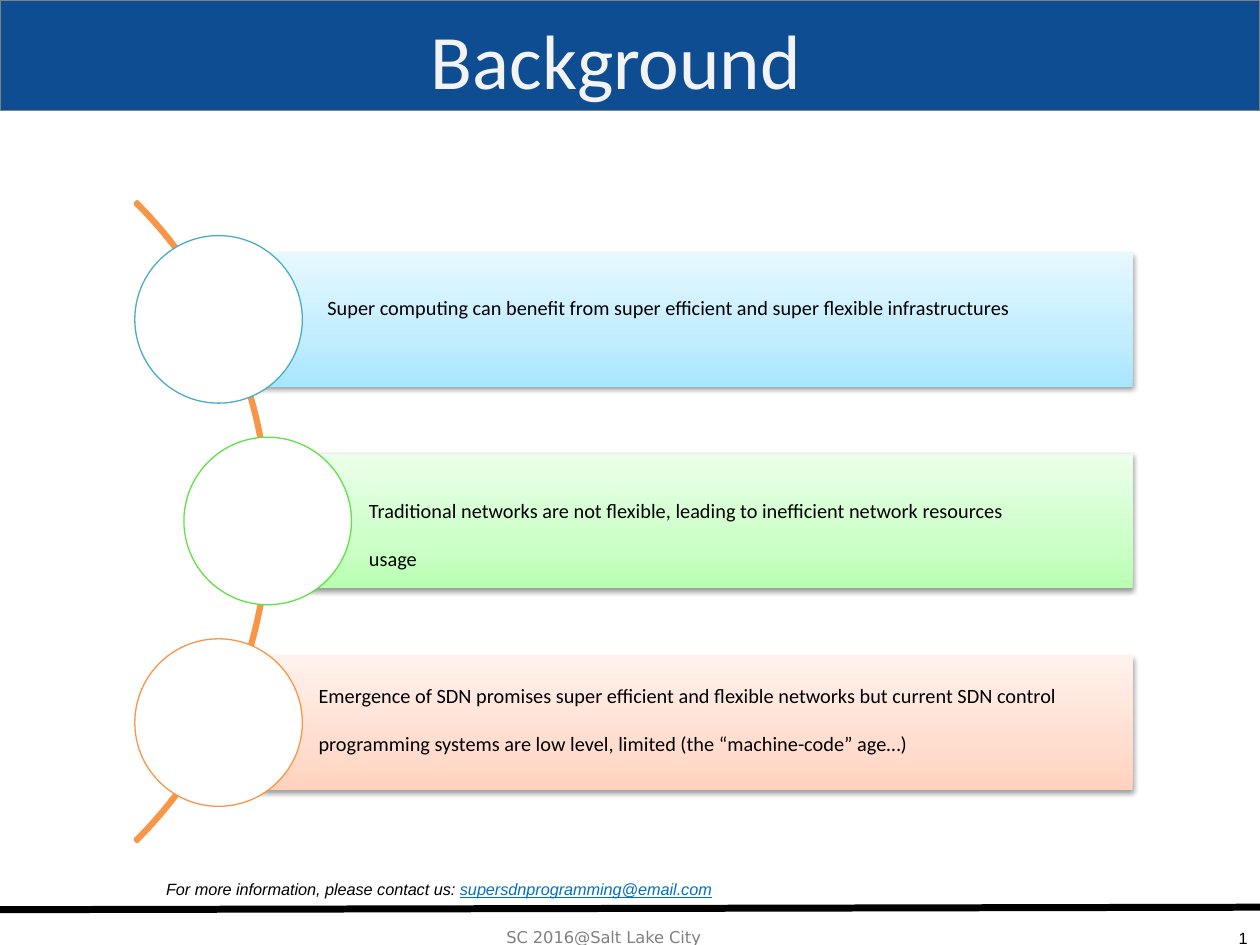
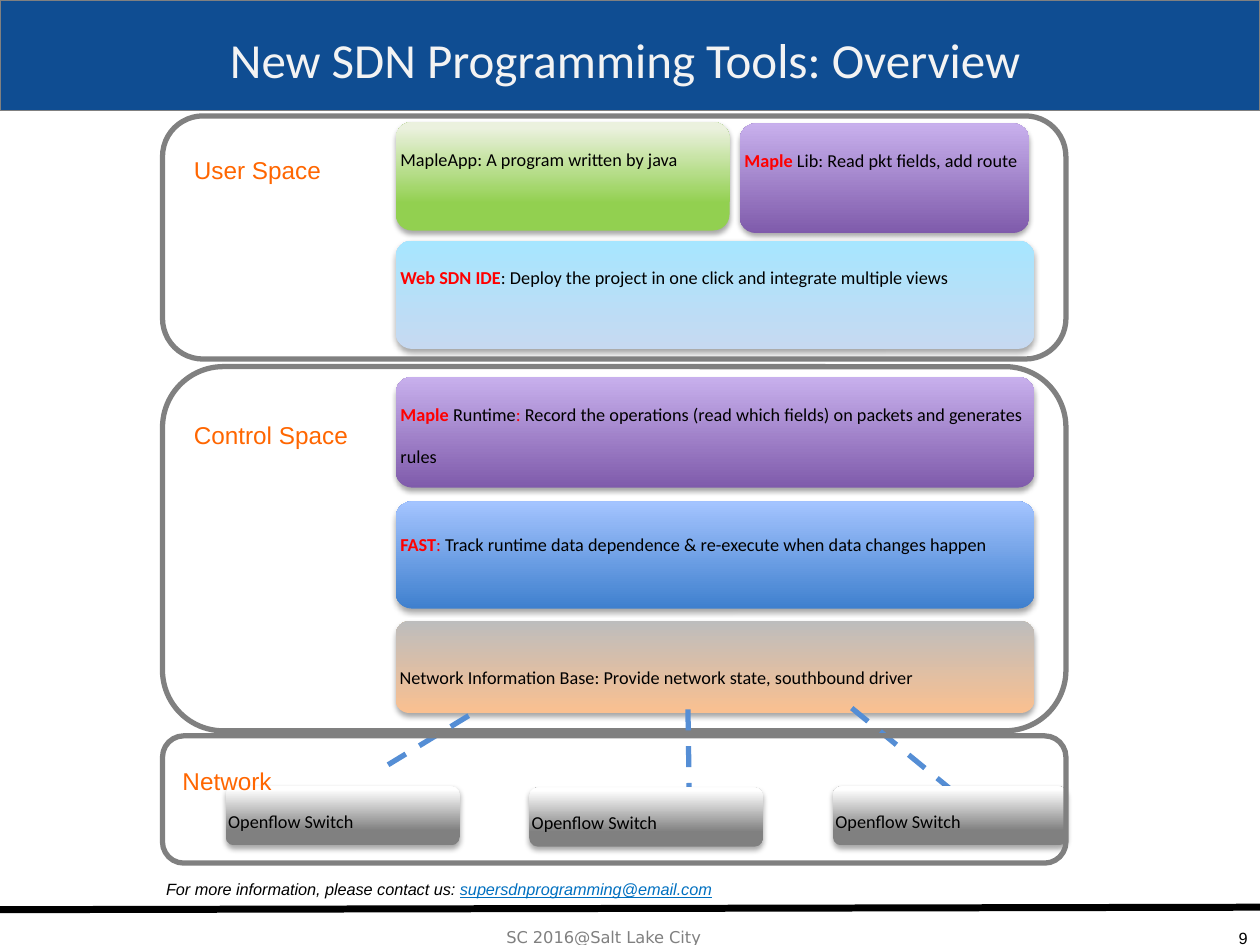
from dataclasses import dataclass
from typing import NamedTuple

from lxml.etree import SubElement
from pptx import Presentation
from pptx.dml.color import RGBColor
from pptx.enum.dml import MSO_LINE
from pptx.enum.shapes import MSO_CONNECTOR, MSO_SHAPE as Preset
from pptx.enum.text import MSO_ANCHOR as Anchor, MSO_AUTO_SIZE, PP_ALIGN as Align
from pptx.oxml.ns import qn
from pptx.util import Inches, Pt

# Slide grid: 100 columns by 75 rows
WIDTH, HEIGHT = Inches(10), Inches(7.5)
COLUMN, ROW = WIDTH / 100, HEIGHT / 75

COLORS = {
    "band": "0F4D92", "title": "F3F3F3", "gray": "808080", "black": "000000",
    "white": "FFFFFF", "link": "0070C0", "red": "FF0000", "label": "FF6600",
    "orange": "F79646", "teal": "4BACC6", "green": "60E146", "dash": "558ED5",
}
GRADIENTS = {  # stops run from the bottom edge to the top edge
    "sky": [(0, "A7E6FF"), (35, "C1EDFF"), (100, "E7F8FF")],
    "mint": [(0, "B9FFB2"), (35, "CDFFC9"), (100, "ECFFEA")],
    "peach": [(0, "FFD2BD"), (35, "FFDED0"), (100, "FFF2ED")],
    "ice": [(0, "C6D9F1"), (100, "A7E6FF")],
    "purple": [(0, "7F5BAB"), (100, "C8B0ED")],
    "blue": [(0, "3F80CE"), (100, "A4C4FF")],
    "sand": [(0, "FAC090"), (100, "BDBDBD")],
    "leaf": [(25, "92D050"), (95, "EBF1DE")],
    "steel": [(25, "808080"), (95, "FFFFFF")],
}


class Box(NamedTuple):
    column: float
    row: float
    columns: float
    rows: float

    def lengths(self) -> list[int]:
        scales = (COLUMN, ROW, COLUMN, ROW)
        return [round(value * scale) for value, scale in zip(self, scales)]


class Words(NamedTuple):
    text: str
    color: str = "black"
    bold: bool = False
    underline: bool = False


@dataclass
class TextStyle:
    size: float
    font: str = "Calibri"
    italic: bool = False
    lowered: bool = True


@dataclass
class Point:
    circle_column: float
    gradient: str
    outline: str
    text_box: Box
    text: str


@dataclass
class Tile:
    box: Box
    gradient: str
    words: list[Words]
    anchor: Anchor = Anchor.TOP
    top_inset: float = 0


@dataclass
class Space:
    frame: Box
    label_box: Box
    label: str


BODY = TextStyle(20)
TILE = TextStyle(18)
LABEL = TextStyle(24, "Arial")
CONTACT = TextStyle(16, "Arial", italic=True)
NUMBER = TextStyle(16, "Arial")
FOOTER = TextStyle(16, "DejaVu Sans")


def color(name: str) -> RGBColor:
    return RGBColor.from_string(COLORS[name])


def write(paragraph, words: list[Words], style: TextStyle) -> None:
    for part in words:
        run = paragraph.add_run()
        run.text = part.text
        font = run.font
        font.size, font.name = Pt(style.size), style.font
        font.bold, font.italic, font.underline = part.bold, style.italic, part.underline
        font.color.rgb = color(part.color)
        if style.lowered:
            run._r.get_or_add_rPr().set("baseline", "-25000")


def add_shadow(effects, alpha: int, distance: int) -> None:
    shadow = SubElement(effects, qn("a:outerShdw"), blurRad="40000",
                        dist=str(distance), dir="5400000", rotWithShape="0")
    black = SubElement(shadow, qn("a:srgbClr"), val=COLORS["black"])
    SubElement(black, qn("a:alpha"), val=str(alpha * 1000))


def add_text(slide, box: Box, words: list[Words], style: TextStyle,
             align: Align = Align.LEFT, wrap: bool = True):
    shape = slide.shapes.add_textbox(*box.lengths())
    shape.text_frame.word_wrap = wrap
    paragraph = shape.text_frame.paragraphs[0]
    paragraph.alignment = align
    write(paragraph, words, style)
    return shape


def add_outlined(slide, preset: Preset, box: Box, line: str, width: float,
                 fill: str | None = None):
    shape = slide.shapes.add_shape(preset, *box.lengths())
    shape.shadow.inherit = False
    if fill:
        shape.fill.solid()
        shape.fill.fore_color.rgb = color(fill)
    else:
        shape.fill.background()
    shape.line.color.rgb = color(line)
    shape.line.width = Pt(width)
    return shape


def add_gradient(slide, preset: Preset, box: Box, gradient: str,
                 alpha: int, distance: int):
    shape = slide.shapes.add_shape(preset, *box.lengths())
    shape.line.fill.background()
    shape.fill.gradient()
    shape.fill.gradient_angle = 90
    properties = shape.element.spPr
    stops = properties.find(".//" + qn("a:gsLst"))
    for stop in list(stops):
        stops.remove(stop)
    for position, value in GRADIENTS[gradient]:
        stop = SubElement(stops, qn("a:gs"), pos=str(position * 1000))
        SubElement(stop, qn("a:srgbClr"), val=value)
    shape.shadow.inherit = False
    add_shadow(properties.find(qn("a:effectLst")), alpha, distance)
    return shape


def add_line(slide, start: tuple[float, float], end: tuple[float, float],
             line: str, width: float, dashed: bool = False):
    ends = [round(value * scale) for value, scale in
            zip(start + end, (COLUMN, ROW, COLUMN, ROW))]
    connector = slide.shapes.add_connector(MSO_CONNECTOR.STRAIGHT, *ends)
    connector.line.color.rgb = color(line)
    connector.line.width = Pt(width)
    if dashed:
        connector.line.dash_style = MSO_LINE.DASH
    SubElement(connector.element.spPr, qn("a:effectLst"))
    return connector


def add_tile(slide, tile: Tile) -> None:
    shape = add_gradient(slide, Preset.ROUNDED_RECTANGLE, tile.box, tile.gradient, 35, 23000)
    shape.adjustments[0] = 0.15
    frame = shape.text_frame
    frame.word_wrap = True
    frame.vertical_anchor = tile.anchor
    frame.margin_left = frame.margin_right = frame.margin_bottom = 0
    frame.margin_top = Inches(tile.top_inset)
    frame.paragraphs[0].alignment = Align.LEFT
    write(frame.paragraphs[0], tile.words, TILE)


def add_space(slide, space: Space) -> None:
    add_outlined(slide, Preset.ROUNDED_RECTANGLE, space.frame, "gray", 3)
    add_text(slide, space.label_box, [Words(space.label, "label")], LABEL)


def decorate_layout(layout, slide) -> None:
    """Draw the band, rule and footer, then hand them to the shared layout."""
    shared = [
        add_outlined(slide, Preset.RECTANGLE, Box(0, 0, 100, 8.8), "gray", 0.75, "band"),
        add_line(slide, (0, 72.2), (100, 72), "black", 4),
        add_text(slide, Box(39.2, 71.6, 29.4, 3.7),
                 [Words("SC 2016@Salt Lake City", "gray")], FOOTER, wrap=False),
    ]
    for shape in shared:
        layout.shapes.element.append(shape.element)


def set_title(slide, text: str, size: float) -> None:
    title = slide.shapes.title
    title.left, title.top, title.width, title.height = Box(2.8, 0.9, 93.6, 7.5).lengths()
    frame = title.text_frame
    frame.auto_size = MSO_AUTO_SIZE.NONE
    frame.vertical_anchor = Anchor.MIDDLE
    paragraph = frame.paragraphs[0]
    paragraph.alignment = Align.CENTER
    write(paragraph, [Words(text, "title")], TextStyle(size, lowered=False))
    properties = paragraph.runs[0]._r.get_or_add_rPr()
    effects = SubElement(properties, qn("a:effectLst"))
    add_shadow(effects, 43, 38000)
    properties.find(qn("a:solidFill")).addnext(effects)


def add_closing(slide, number: str) -> None:
    add_text(slide, Box(12.2, 67.8, 78.4, 3.7),
             [Words("For more information, please contact us: "),
              Words("supersdnprogramming@email.com", "link", underline=True)], CONTACT)
    add_text(slide, Box(79.2, 71.7, 20.8, 3.3), [Words(number)], NUMBER, Align.RIGHT)


def build_background(slide) -> None:
    set_title(slide, "Background ", 44)
    arc = add_outlined(slide, Preset.BLOCK_ARC, Box(-50.4, 5.5, 71.8, 71.8), "orange", 2)
    for index, value in enumerate((189, 27, 0.003)):
        arc.adjustments[index] = value

    points = [
        Point(10.7, "sky", "teal", Box(25, 21.1, 62.4, 7.7),
              "Super computing can benefit from super efficient and super flexible "
              "infrastructures"),
        Point(14.6, "mint", "green", Box(28.3, 37.2, 52.8, 7.7),
              "Traditional networks are not flexible, leading to inefficient network "
              "resources usage"),
        Point(10.7, "peach", "orange", Box(24.3, 51.9, 66.7, 11.1),
              "Emergence of SDN promises super efficient and flexible networks but "
              "current SDN control programming systems are low level, limited "
              "(the “machine-code” age…)"),
    ]
    diameter, bar_right = 13.3, 89.9
    for index, point in enumerate(points):
        row = 18.7 + 16 * index
        center = point.circle_column + diameter / 2
        bar = Box(center, row + 1.3, bar_right - center, 10.7)
        add_gradient(slide, Preset.RECTANGLE, bar, point.gradient, 38, 20000)
        circle = Box(point.circle_column, row, diameter, diameter)
        add_outlined(slide, Preset.OVAL, circle, point.outline, 0.75, "white")
    for point in points:
        add_text(slide, point.text_box, [Words(point.text)], BODY)
    add_closing(slide, "1")


def build_overview(slide) -> None:
    set_title(slide, "New SDN Programming Tools: Overview", 28)
    left, full = 31.4, 50.7
    maple = Words("Maple ", "red", bold=True)

    # Software layers
    tiles = [
        Tile(Box(left, 19.1, full, 8.6), "ice",
             [Words("Web SDN IDE", "red", bold=True),
              Words(": Deploy the project in one click and integrate multiple views")]),
        Tile(Box(left, 29.9, full, 8.8), "purple",
             [maple, Words("Runtime"), Words(": ", "red"),
              Words("Record the operations (read which fields) on packets and "
                    "generates rules")]),
        Tile(Box(left, 49.3, full, 7.3), "sand",
             [Words("Network Information Base: Provide network state, southbound driver")],
             Anchor.MIDDLE),
        Tile(Box(left, 39.8, full, 8.5), "blue",
             [Words("FAST", "red", bold=True), Words(": ", "red"),
              Words("Track runtime data dependence & re-execute when data changes happen")],
             top_inset=0.05),
        Tile(Box(58.7, 9.8, 23, 8.7), "purple",
             [maple, Words("Lib: Read pkt fields, add route")]),
        Tile(Box(left, 9.7, 26.5, 8.6), "leaf",
             [Words("MapleApp: A program written by java")]),
    ]
    for tile in tiles:
        add_tile(slide, tile)

    # Spaces around the layers
    add_space(slide, Space(Box(12.9, 29.1, 71.7, 28.9), Box(14.4, 30.6, 17.3, 9.2),
                           "Control Space"))
    add_space(slide, Space(Box(12.9, 9.2, 71.7, 19.3), Box(14.4, 9.6, 17.3, 9.2),
                           "User Space"))

    # Links down to the switches
    for start, end in [((37.2, 56.8), (30.8, 60.7)), ((54.6, 56.3), (54.7, 62.8)),
                       ((67.6, 56.2), (75.4, 62.6))]:
        add_line(slide, start, end, "dash", 3, dashed=True)
    for index, row in enumerate((62.4, 62.5, 62.4)):
        add_tile(slide, Tile(Box(17.9 + 24.1 * index, row, 18.6, 4.7), "steel",
                             [Words("Openflow Switch")]))
    add_space(slide, Space(Box(12.9, 58.4, 71.7, 10.1), Box(13.5, 58.1, 17.3, 5.1),
                           "Network"))
    add_closing(slide, "9")


def main() -> None:
    presentation = Presentation()
    presentation.slide_width, presentation.slide_height = WIDTH, HEIGHT
    layout = presentation.slide_layouts[5]
    background, overview = (presentation.slides.add_slide(layout) for _ in range(2))
    decorate_layout(layout, background)
    build_background(background)
    build_overview(overview)
    presentation.save("out.pptx")


if __name__ == "__main__":
    main()
